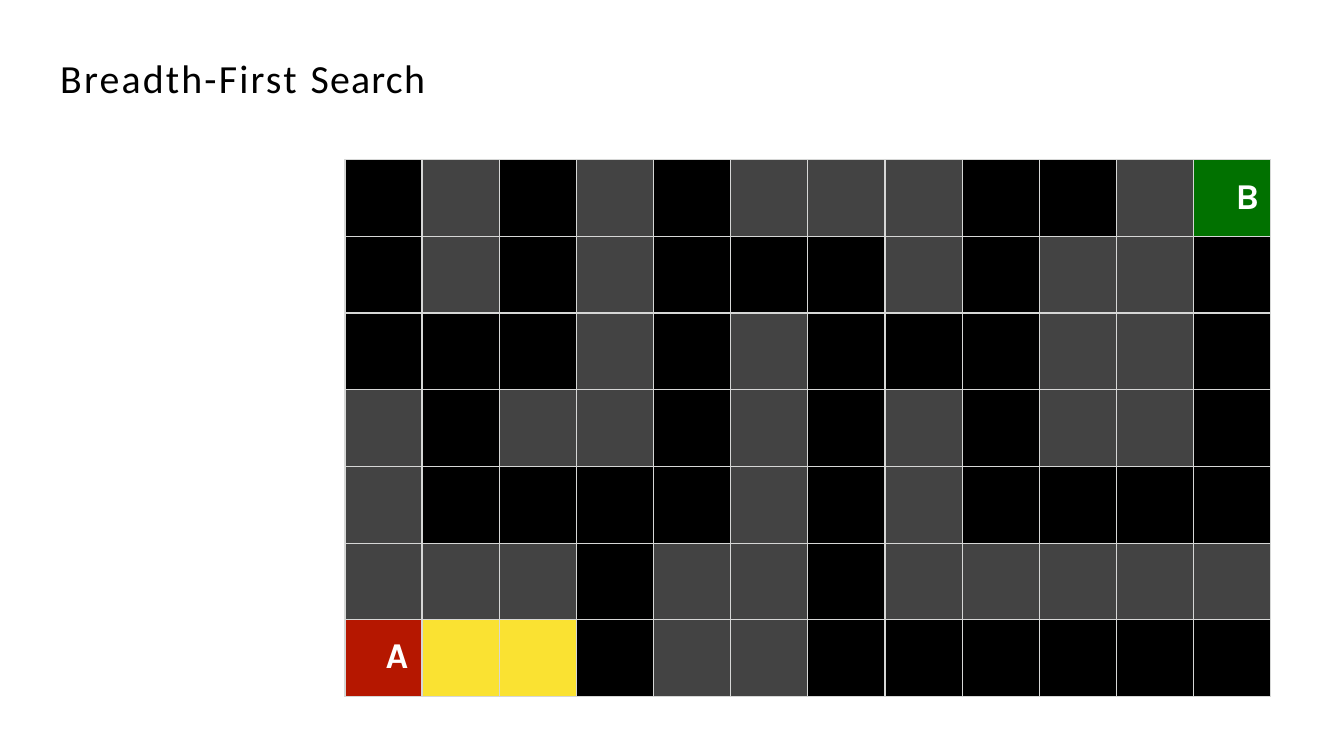
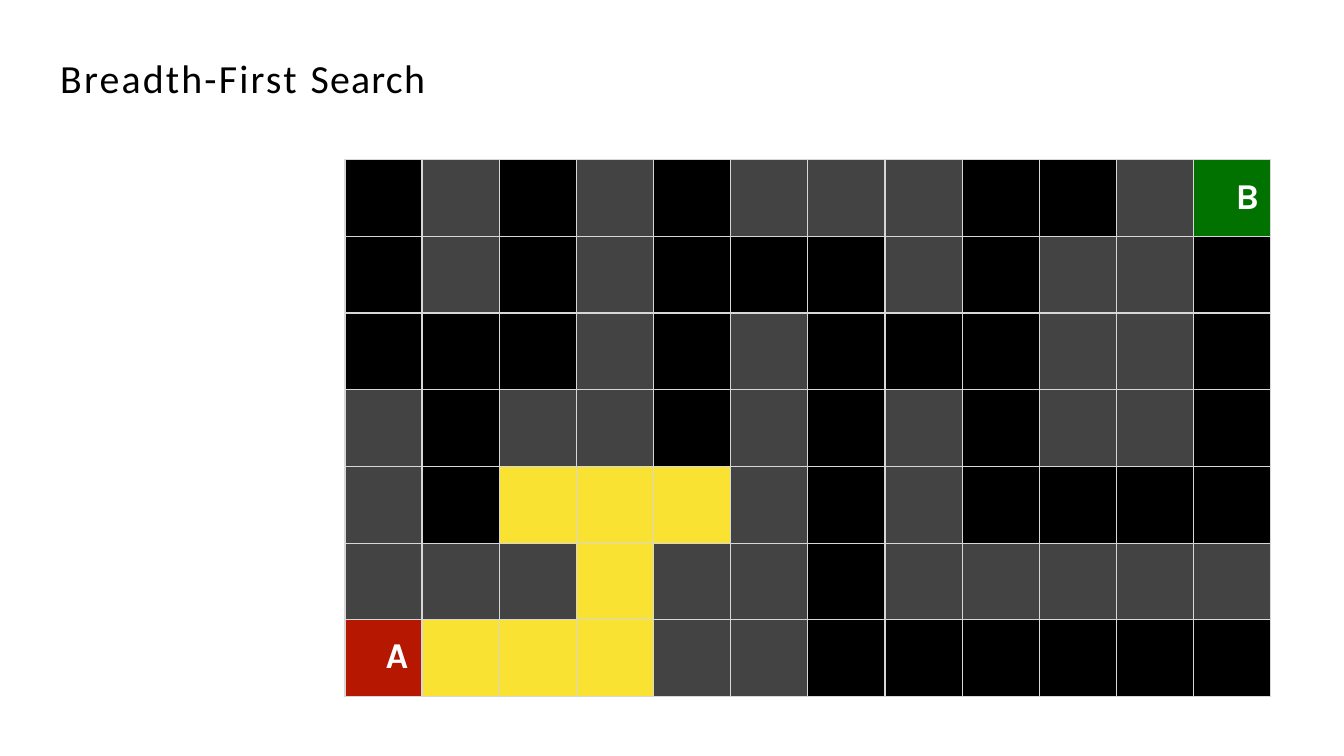
import pptx
import pptx.util
import pptx.dml.color
import pptx.enum.text
import pptx.oxml
import pptx.oxml.ns

Pt = pptx.util.Pt
MAZE = [
    ".#.#.###..#B",
    ".#.#...#.##.",
    "...#.#...##.",
    "#.##.#.#.##.",
    "#....#.#....",
    "###.##.#####",
    "A...##......",
]
FIRST_STEPS = {(6, 1), (6, 2)}
AFTER_FORK = FIRST_STEPS | {(6, 3), (5, 3), (4, 2), (4, 3), (4, 4)}


def rgb(value):
    """Turn a hex string into a colour."""
    return pptx.dml.color.RGBColor.from_string(value)


def apply(target, values):
    """Set attributes from a dict."""
    for name, value in values.items():
        setattr(target, name, value)


class Deck:
    """Holds the presentation, its style and the current slide."""

    FILLS = {".": "000000", "#": "434343", "*": "FAE232", "A": "B51700", "B": "017100"}
    GRID_LINE = "D6D7D6"
    TITLE_FONT = {"name": "Calibri", "size": Pt(28.5)}
    LABEL_FONT = {"name": "Karla", "size": Pt(26), "bold": True}
    LABEL_MARGINS = {
        "A": {"margin_left": Pt(29), "margin_top": Pt(11)},
        "B": {"margin_left": Pt(30), "margin_top": Pt(11.5)},
    }
    COL_WIDTH, ROW_HEIGHT = 55.13, 54.8

    def __init__(self):
        """Start a wide presentation."""
        self.prs = pptx.Presentation()
        apply(self.prs, {"slide_width": Pt(960), "slide_height": Pt(540)})
        self.s = None

    def slide(self):
        """Add a blank slide and make it current."""
        self.s = self.prs.slides.add_slide(self.prs.slide_layouts[6])

    def run(self, p, text, font, color, spacing=None):
        """Add a formatted run with optional letter spacing in points."""
        r = p.add_run()
        r.text = text
        apply(r.font, font)
        r.font.color.rgb = rgb(color)
        if spacing:
            r._r.get_or_add_rPr().set("spc", str(round(spacing * 100)))

    def title(self, parts):
        """Add the title from pairs of text and letter spacing."""
        sp = self.s.shapes.add_textbox(Pt(42), Pt(37.5), Pt(291.5), Pt(35))
        tf = sp.text_frame
        apply(tf, {
            "word_wrap": True, "margin_left": Pt(1), "margin_top": Pt(1),
            "margin_right": 0, "margin_bottom": 0,
            "vertical_anchor": pptx.enum.text.MSO_ANCHOR.MIDDLE,
        })
        p = tf.paragraphs[0]
        p.space_before = Pt(0.6)
        for text, spacing in parts:
            self.run(p, text, self.TITLE_FONT, "000000", spacing)

    def borders(self, cell):
        """Draw a thin line on all four sides of a cell."""
        tcPr = cell._tc.get_or_add_tcPr()
        for i, side in enumerate("LRTB"):
            tcPr.insert(i, pptx.oxml.parse_xml(
                f'<a:ln{side} {pptx.oxml.ns.nsdecls("a")} w="{Pt(1)}"><a:solidFill>'
                f'<a:srgbClr val="{self.GRID_LINE}"/></a:solidFill></a:ln{side}>'))

    def cell(self, cell, kind):
        """Fill one maze cell and label it if it is an end point."""
        cell.fill.solid()
        cell.fill.fore_color.rgb = rgb(self.FILLS[kind])
        self.borders(cell)
        if kind in self.LABEL_MARGINS:
            apply(cell, {"margin_right": 0, "margin_bottom": 0, **self.LABEL_MARGINS[kind]})
            self.run(cell.text_frame.paragraphs[0], kind, self.LABEL_FONT, "FFFFFF")

    def maze(self, rows, explored):
        """Add the maze table with the explored cells highlighted."""
        n_rows, n_cols = len(rows), len(rows[0])
        table = self.s.shapes.add_table(
            n_rows, n_cols, Pt(246.4), Pt(114),
            Pt(n_cols * self.COL_WIDTH), Pt(n_rows * self.ROW_HEIGHT)).table
        apply(table, {"first_row": False, "horz_banding": False})
        for col in table.columns:
            col.width = Pt(self.COL_WIDTH)
        for y, row in enumerate(rows):
            table.rows[y].height = Pt(self.ROW_HEIGHT)
            for x, kind in enumerate(row):
                self.cell(table.cell(y, x), "*" if (y, x) in explored else kind)


def main():
    """Build the search slides and save them."""
    deck = Deck()
    for explored in (FIRST_STEPS, AFTER_FORK):
        deck.slide()
        deck.maze(MAZE, explored)
        deck.title([("Breadth-First ", 1.6), ("Search", 0.9)])
    deck.prs.save("out.pptx")


if __name__ == "__main__":
    main()
